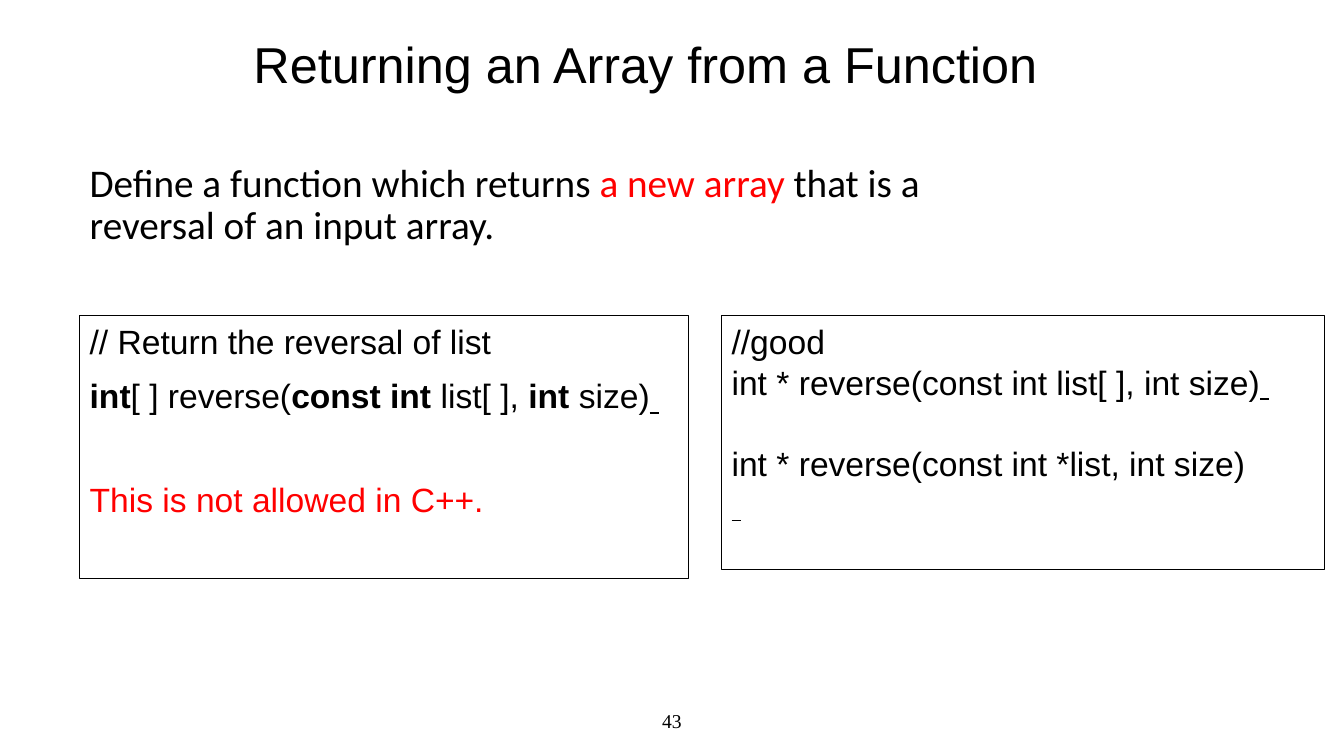
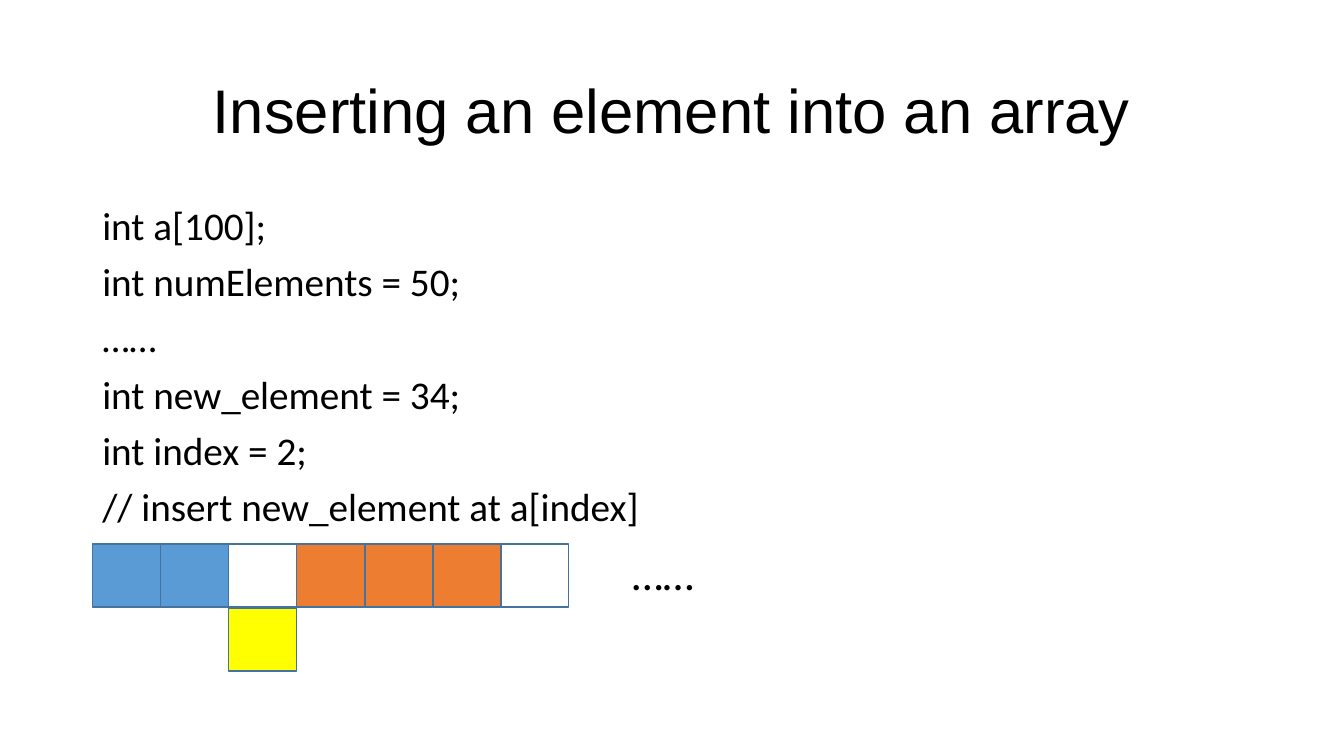
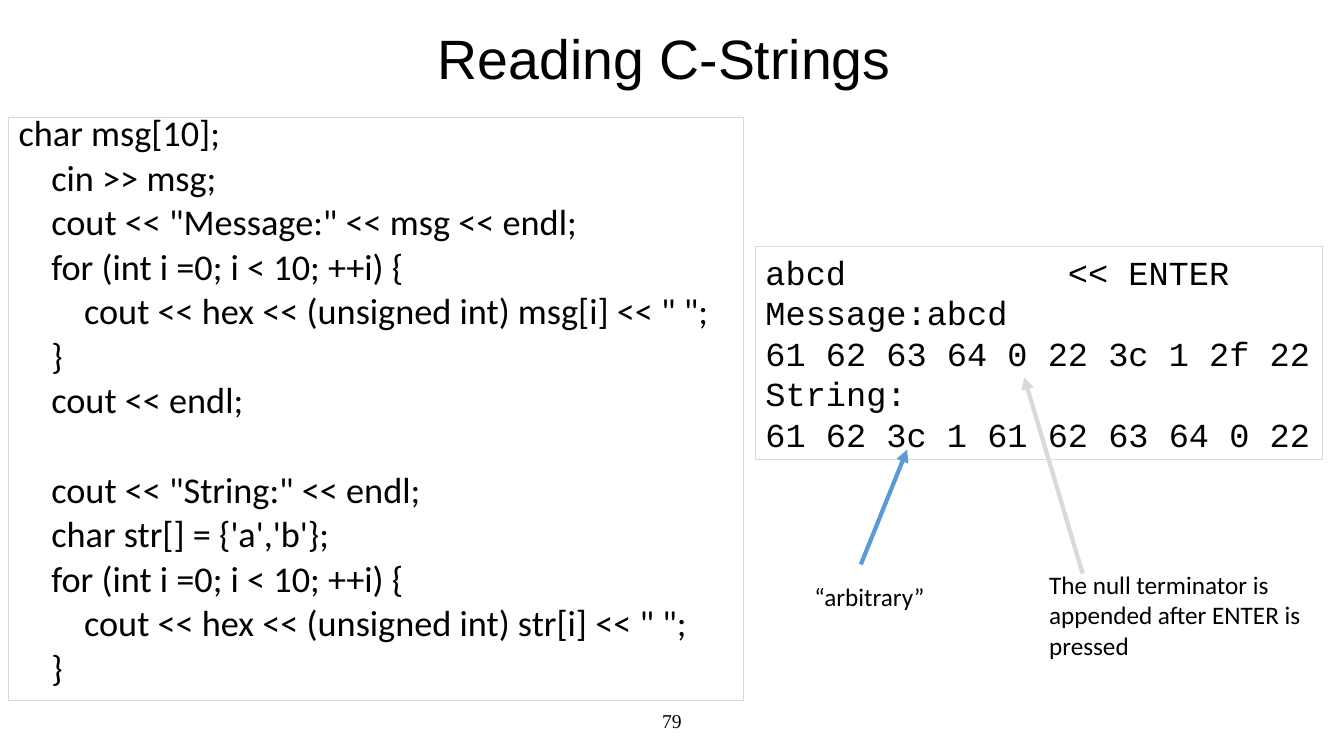
import pptx
import pptx.dml.color
import pptx.enum.shapes
import pptx.enum.text
import pptx.oxml.ns
import pptx.util
from dataclasses import dataclass
from lxml import etree

Pt = pptx.util.Pt
ALIGN = pptx.enum.text.PP_ALIGN
ANCHOR = pptx.enum.text.MSO_ANCHOR
SHAPES = pptx.enum.shapes.MSO_SHAPE
qn = pptx.oxml.ns.qn


@dataclass(frozen=True)
class Theme:
    # Colours
    ink: str = "000000"
    paper: str = "FFFFFF"
    alert: str = "FF0000"
    pale: str = "D9D9D9"
    blue: str = "5B9BD5"
    edge: str = "43739E"
    orange: str = "ED7D31"
    yellow: str = "FFFF00"
    # Fonts
    heading: str = "Arial"
    body: str = "Calibri"
    console: str = "Courier New"
    number: str = "Times New Roman"
    # Type sizes
    text_size: float = 28
    listing_size: float = 25.9
    code_size: float = 24
    code_leading: float = 29
    dots_size: float = 32
    note_size: float = 18
    number_size: float = 14


def rgb(colour):
    return pptx.dml.color.RGBColor.from_string(colour)


class Deck:
    def __init__(self, theme):
        self.theme = theme
        self.show = pptx.Presentation()
        self.show.slide_width, self.show.slide_height = Pt(960), Pt(540)
        self.slide = None

    def new_slide(self):
        self.slide = self.show.slides.add_slide(self.show.slide_layouts[6])

    def rect(self, left, top, width, height, fill=None, line=None, weight=0.75):
        box = self.slide.shapes.add_shape(
            SHAPES.RECTANGLE, Pt(left), Pt(top), Pt(width), Pt(height))
        box.shadow.inherit = False
        if fill:
            box.fill.solid()
            box.fill.fore_color.rgb = rgb(fill)
        else:
            box.fill.background()
        box.line.color.rgb = rgb(line)
        box.line.width = Pt(weight)
        return box

    def set_text(self, box, paragraphs, size, font, align=ALIGN.LEFT,
                 anchor=ANCHOR.TOP, spacing=1.0, before=0, gaps=None,
                 wrap=True, tab=None):
        """Each paragraph is a string or a list of (text, style) runs;
        gaps gives other space before for single paragraphs."""
        frame = box.text_frame
        frame.word_wrap = wrap
        frame.vertical_anchor = anchor
        for i, content in enumerate(paragraphs):
            para = frame.paragraphs[0] if i == 0 else frame.add_paragraph()
            para.alignment = align
            para.line_spacing = spacing
            if i:
                para.space_before = Pt((gaps or {}).get(i, before))
            if tab:
                stops = etree.SubElement(para._p.get_or_add_pPr(), qn("a:tabLst"))
                etree.SubElement(stops, qn("a:tab"), pos=str(Pt(tab)), algn="l")
            para.font.size = Pt(size)
            para.font.name = font
            para.font.color.rgb = rgb(self.theme.ink)
            runs = [(content, {})] if isinstance(content, str) else content
            for text, style in runs:
                run = para.add_run()
                run.text = text
                if "color" in style:
                    run.font.color.rgb = rgb(style["color"])
                if "bold" in style:
                    run.font.bold = style["bold"]
                if "underline" in style:
                    run.font.underline = style["underline"]

    def text(self, left, top, width, height, paragraphs, size, font, **layout):
        box = self.slide.shapes.add_textbox(
            Pt(left), Pt(top), Pt(width), Pt(height))
        self.set_text(box, paragraphs, size, font, **layout)

    def panel(self, left, top, width, height, line, paragraphs, size, font, **layout):
        box = self.rect(left, top, width, height, line=line)
        self.set_text(box, paragraphs, size, font, **layout)

    def title(self, text, top, height, size, left=174, width=612, align=ALIGN.CENTER):
        self.text(left, top, width, height, [text], size, self.theme.heading,
                  align=align, anchor=ANCHOR.MIDDLE, spacing=0.9)

    def page_number(self, number):
        self.text(318, 500.5, 324, 28.75, [str(number)], self.theme.number_size,
                  self.theme.number, align=ALIGN.CENTER, anchor=ANCHOR.MIDDLE)

    def arrow(self, start, end, colour):
        line = self.slide.shapes.add_connector(
            pptx.enum.shapes.MSO_CONNECTOR.STRAIGHT,
            *(Pt(v) for v in (*start, *end)))
        line.line.color.rgb = rgb(colour)
        line.line.width = Pt(3)
        properties = line._element.spPr
        etree.SubElement(properties.find(qn("a:ln")), qn("a:tailEnd"), type="triangle")
        etree.SubElement(properties, qn("a:effectLst"))


def returning_array(deck):
    t = deck.theme
    bold, underlined = {"bold": True}, {"underline": True}
    deck.new_slide()
    deck.page_number(43)
    deck.title("Returning an Array from a Function", 22.3, 51, 36, align=ALIGN.LEFT)
    deck.text(57, 113, 695.5, 387, [[
        ("Define a function which returns ", {}),
        ("a new array ", {"color": t.alert}),
        ("that is a reversal of an input array.", {})]],
        t.text_size, t.body, spacing=0.9)

    # Accepted and rejected signatures
    deck.panel(515.5, 225.4, 430.5, 181.4, t.ink, [
        "//good",
        [("int * reverse(const int list[ ], int size)", {}), (" ", underlined)],
        "int * reverse(const int *list, int size)",
        [(" ", underlined)]],
        t.code_size, t.heading, spacing=Pt(t.code_leading),
        gaps={2: t.code_leading})
    deck.panel(57, 225.4, 434.9, 188, t.ink, [
        "// Return the reversal of list",
        [("int", bold), ("[ ] reverse(", {}), ("const int", bold),
         (" list[ ], ", {}), ("int ", bold), ("size)", {}), (" ", underlined)],
        [("This is not allowed in C++.", {"color": t.alert})]],
        t.code_size, t.heading, spacing=Pt(t.code_leading), before=10,
        gaps={2: 45})


def inserting_element(deck):
    t = deck.theme
    deck.new_slide()
    deck.title("Inserting an element into an array", 28.75, 104.4, 44, left=66, width=828)
    deck.text(66, 143.75, 828, 342.6, [
        "int a[100];",
        "int numElements = 50;",
        "……",
        "int new_element = 34;",
        "int index = 2;",
        "// insert new_element at a[index]"],
        t.text_size, t.body, spacing=0.9, before=10)

    # Array cells, with the new element below its slot
    left, top, step, width, height = 66.2, 388.5, 48.6, 48.4, 45
    index = 2
    cells = [t.blue] * 2 + [t.paper] + [t.orange] * 3 + [t.paper]
    for i, fill in enumerate(cells):
        deck.rect(left + i * step, top, width, height, fill, t.edge, 1)
    deck.rect(left + index * step, top + height + 0.7, width, height,
              t.yellow, t.edge, 1)
    deck.text(444.4, 386.6, 59, 46, ["……"], t.dots_size, t.body, wrap=False)


def reading_strings(deck):
    t = deck.theme
    deck.new_slide()
    deck.page_number(79)
    deck.title("Reading C-Strings ", 18, 52.5, 39.6)

    # Program and its output
    deck.panel(6.2, 84, 525.2, 416.4, t.pale, [
        "char msg[10];",
        "    cin >> msg;",
        "    cout << \"Message:\" << msg << endl;",
        "    for (int i =0; i < 10; ++i) {",
        "        cout << hex << (unsigned int) msg[i] << \" \";",
        "    }",
        "    cout << endl;",
        "    cout << \"String:\" << endl;",
        "    char str[] = {'a','b'};",
        "    for (int i =0; i < 10; ++i) {",
        "        cout << hex << (unsigned int) str[i] << \" \";",
        "    }"],
        t.listing_size, t.body, spacing=0.7, before=10, gaps={7: 42})
    deck.panel(539.7, 175.9, 405, 152.6, t.pale, [
        "abcd\t<< ENTER",
        "Message:abcd",
        "61 62 63 64 0 22 3c 1 2f 22",
        "String:",
        "61 62 3c 1 61 62 63 64 0 22"],
        t.code_size, t.console, spacing=Pt(t.code_leading), tab=216)

    # Remarks on the output
    deck.arrow((773.3, 409.7), (731.5, 269.3), t.pale)
    deck.text(742.3, 403.2, 197.3, 72.7,
              ["The null terminator is appended after ENTER is pressed"],
              t.note_size, t.body)
    deck.arrow((614.9, 403.2), (648, 321.1), t.blue)
    deck.text(574.6, 411.8, 92.9, 29, ["“arbitrary”"], t.note_size, t.body, wrap=False)


def main():
    deck = Deck(Theme())
    returning_array(deck)
    inserting_element(deck)
    reading_strings(deck)
    deck.show.save("out.pptx")


if __name__ == "__main__":
    main()
